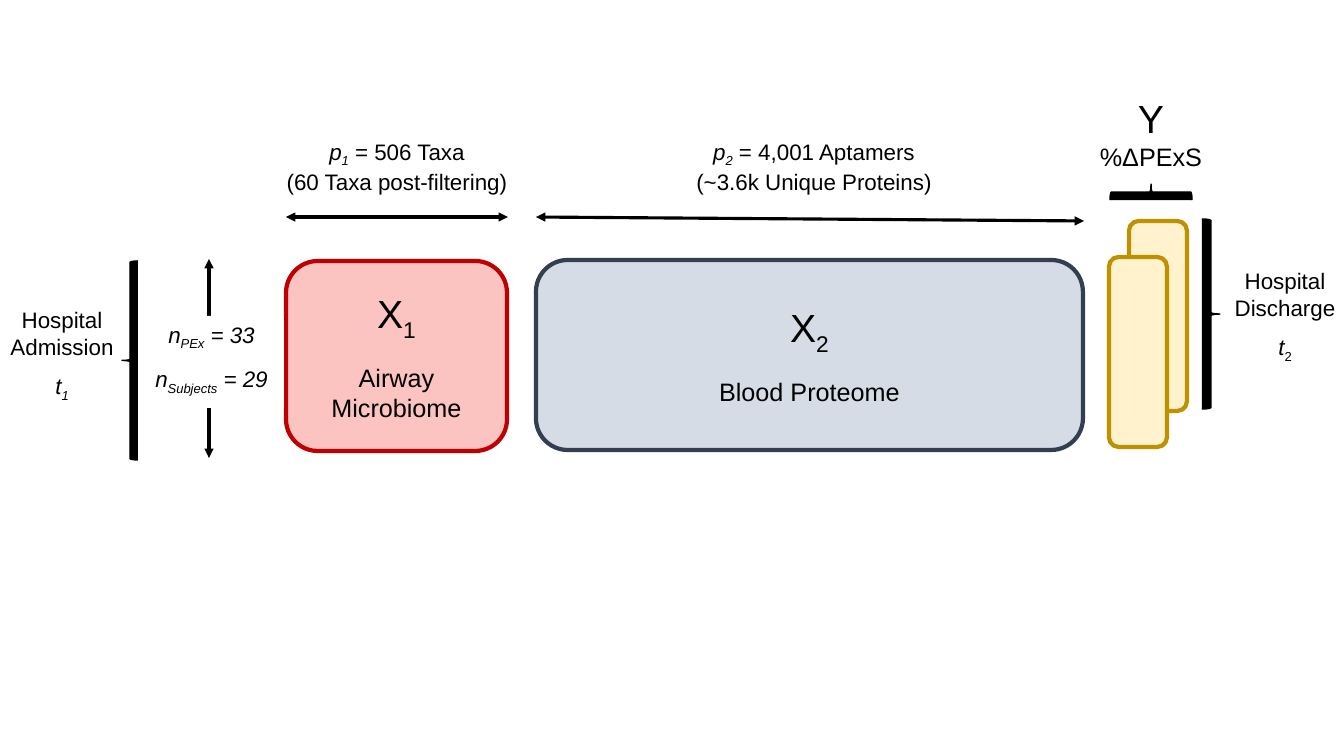
import pptx
import pptx.util
import pptx.dml.color
import pptx.enum.shapes
import pptx.enum.text
import pptx.oxml.ns
import lxml.etree

PX = 914400 / 100.8
COLORS = {
    "black": "000000", "white": "FFFFFF",
    "red": "C00000", "pink": "FCC4C0",
    "navy": "333F50", "gray": "D6DCE5",
    "gold": "BF9000", "cream": "FFF2CC",
}
RGB = {name: pptx.dml.color.RGBColor.from_string(c) for name, c in COLORS.items()}
SHAPE = pptx.enum.shapes.MSO_SHAPE
ANCHOR = pptx.enum.text.MSO_ANCHOR
qn = pptx.oxml.ns.qn

prs = pptx.Presentation()
prs.slide_width, prs.slide_height = round(1344 * PX), round(756 * PX)
slide = prs.slides.add_slide(prs.slide_layouts[6])


def add_box(kind, box, fill, line=None, width=3, rotation=0):
    s = slide.shapes.add_shape(kind, *[round(v * PX) for v in box])
    s.shadow.inherit = False
    s.rotation = rotation
    s.fill.solid()
    s.fill.fore_color.rgb = RGB[fill]
    if line:
        s.line.color.rgb = RGB[line]
        s.line.width = pptx.util.Pt(width)
    else:
        s.line.fill.background()
    return s


def write(s, paragraphs, anchor=ANCHOR.TOP):
    tf = s.text_frame
    tf.word_wrap = True
    tf.vertical_anchor = anchor
    for i, (size, gap, runs) in enumerate(paragraphs):
        p = tf.add_paragraph() if i else tf.paragraphs[0]
        p.alignment = pptx.enum.text.PP_ALIGN.CENTER
        p.space_before = pptx.util.Pt(gap)
        for text, style in runs:
            r = p.add_run()
            r.text = text
            r.font.name = "Arial"
            r.font.size = pptx.util.Pt(size)
            r.font.color.rgb = RGB["black"]
            r.font.italic = "i" in style
            if "sub" in style:
                r._r.get_or_add_rPr().set("baseline", "-25000")


add_box(SHAPE.ROUNDED_RECTANGLE, (1129, 221, 58, 190), "cream", "gold")

for box, fill, line, number, label in [
    ((286, 261, 221, 190), "pink", "red", "1", "Airway Microbiome"),
    ((536, 260, 547, 190), "gray", "navy", "2", "Blood Proteome"),
]:
    s = add_box(SHAPE.ROUNDED_RECTANGLE, box, fill, line)
    write(s, [
        (28, 0, [("X", ""), (number, "sub")]),
        (18, 14, [(label, "")]),
    ], ANCHOR.MIDDLE)

add_box(SHAPE.ROUNDED_RECTANGLE, (1109, 257, 58, 190), "cream", "gold")

for box, rotation in [
    ((1143, 151, 16, 82), 90),
    ((1202, 219, 18, 190), 180),
    ((122, 261, 16, 199), 0),
]:
    add_box(SHAPE.LEFT_BRACE, box, "black", "black", 1, rotation)

for box, paragraphs in [
    ((1089, 89, 124, 89), [(28, 0, [("Y", "")]), (18, 0, [("%ΔPExS", "")])]),
    ((1223, 262, 124, 107), [
        (16, 0, [("Hospital Discharge", "")]),
        (16, 9, [("t", "i"), ("2", "sub")]),
    ]),
    ((0, 301, 124, 105), [
        (16, 0, [("Hospital Admission", "")]),
        (16, 9, [("t", "i"), ("1", "i sub")]),
    ]),
]:
    s = slide.shapes.add_textbox(*[round(v * PX) for v in box])
    write(s, paragraphs)

for ends in [(209, 259, 209, 458), (508, 217, 286, 217), (1084, 221, 536, 217)]:
    c = slide.shapes.add_connector(
        pptx.enum.shapes.MSO_CONNECTOR.STRAIGHT, *[round(v * PX) for v in ends])
    c.line.color.rgb = RGB["black"]
    c.line.width = pptx.util.Pt(2.25)
    ln = c.line._get_or_add_ln()
    for tag in ("a:headEnd", "a:tailEnd"):
        lxml.etree.SubElement(ln, qn(tag)).set("type", "triangle")
    lxml.etree.SubElement(c._element.spPr, qn("a:effectLst"))

for box, paragraphs in [
    ((139, 316, 145, 92), [
        (16, 0, [("n", "i"), ("PEx", "i sub"), (" = 33", "i")]),
        (16, 10, [("n", "i"), ("Subjects", "i sub"), (" = 29", "i")]),
    ]),
    ((275, 133, 244, 77), [
        (16, 0, [("p", "i"), ("1", "i sub"), (" = 506 Taxa", "")]),
        (16, 0, [("(60 Taxa post-filtering)", "")]),
    ]),
    ((676, 133, 276, 77), [
        (16, 0, [("p", "i"), ("2", "i sub"), (" = 4,001 Aptamers", "")]),
        (16, 0, [("(~3.6k Unique Proteins)", "")]),
    ]),
]:
    write(add_box(SHAPE.RECTANGLE, box, "white"), paragraphs)

prs.save("out.pptx")
